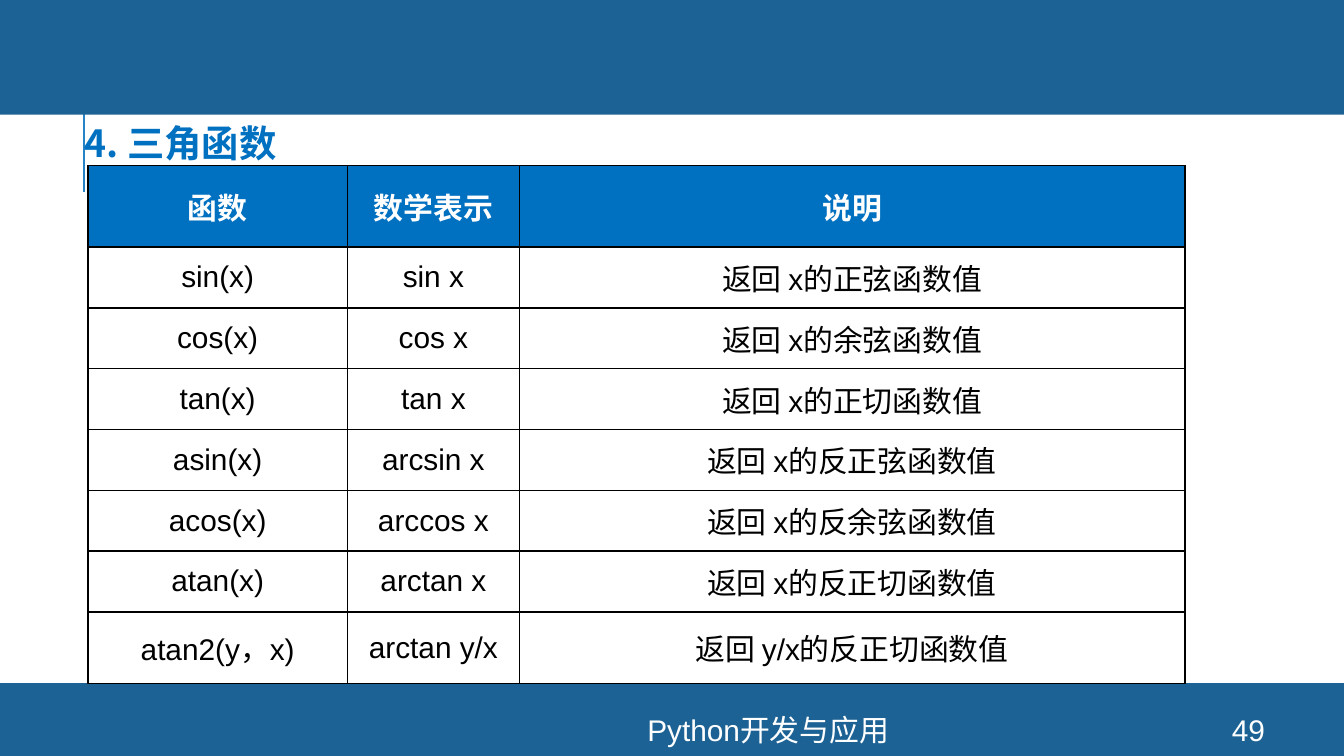
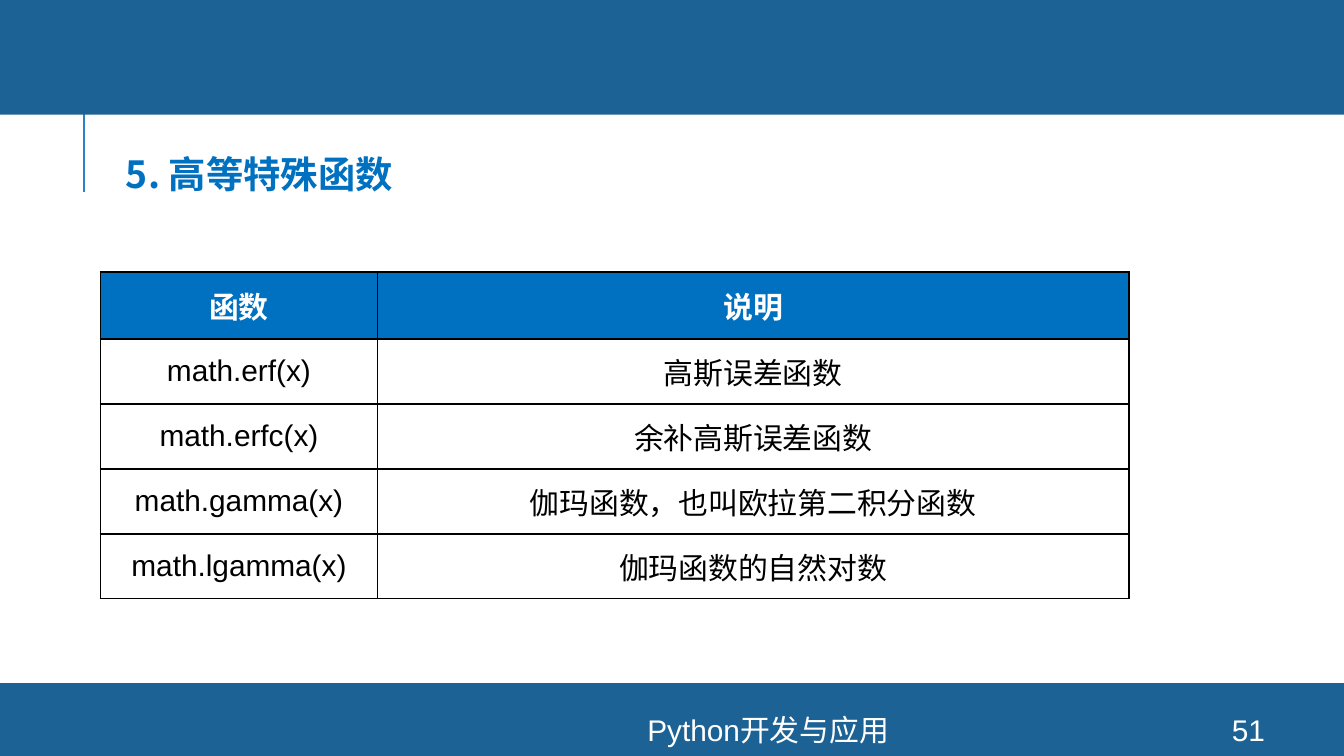
from dataclasses import dataclass

import lxml.etree
import pptx
import pptx.dml.color
import pptx.enum.shapes
import pptx.enum.text
import pptx.oxml.ns
import pptx.util

Pt = pptx.util.Pt
RGB = pptx.dml.color.RGBColor
ALIGN = pptx.enum.text.PP_ALIGN
ANCHOR = pptx.enum.text.MSO_ANCHOR
qn = pptx.oxml.ns.qn

WHITE = RGB(0xFF, 0xFF, 0xFF)
BLACK = RGB(0x00, 0x00, 0x00)
BAND = RGB(0x1D, 0x62, 0x94)
RULE = RGB(0x26, 0x83, 0xC6)
BLUE = RGB(0x00, 0x70, 0xC0)

SANS = "Arial"
HAN = "Noto Sans CJK SC"
WIDTH, HEIGHT = 720, 405
FOOTER = "Python开发与应用"


@dataclass(frozen=True)
class Box:
    left: float
    top: float
    width: float
    height: float

    def place(self) -> tuple:
        return tuple(Pt(n) for n in (self.left, self.top, self.width, self.height))


@dataclass(frozen=True)
class Grid:
    left: float
    top: float
    cols: list[float]
    rows: list[float]
    cells: list[tuple[str, ...]]


@dataclass(frozen=True)
class Page:
    title: str
    spot: Box
    number: str
    grid: Grid


BANDS = [Box(0, 366, WIDTH, 39), Box(0, -2, WIDTH, 63.4)]
FOOT_BOX = Box(188, 382.4, 447, 16.6)
NUM_BOX = Box(640, 382.4, 57.6, 16.6)

TRIG = [
    ("函数", "数学表示", "说明"),
    ("sin(x)", "sin x", "返回 x的正弦函数值"),
    ("cos(x)", "cos x", "返回 x的余弦函数值"),
    ("tan(x)", "tan x", "返回 x的正切函数值"),
    ("asin(x)", "arcsin x", "返回 x的反正弦函数值"),
    ("acos(x)", "arccos x", "返回 x的反余弦函数值"),
    ("atan(x)", "arctan x", "返回 x的反正切函数值"),
    ("atan2(y，x)", "arctan y/x", "返回 y/x的反正切函数值"),
]
SPECIAL = [
    ("函数", "说明"),
    ("math.erf(x)", "高斯误差函数"),
    ("math.erfc(x)", "余补高斯误差函数"),
    ("math.gamma(x)", "伽玛函数，也叫欧拉第二积分函数"),
    ("math.lgamma(x)", "伽玛函数的自然对数"),
]
PAGES = [
    Page("4. 三角函数", Box(38, 49, 235.4, 39.6), "49",
         Grid(47.1, 88.7, [139, 92.2, 356.4], [43.6] + [32.6] * 6 + [38.4], TRIG)),
    Page("5. 高等特殊函数", Box(60.3, 65.3, 235.4, 39.6), "51",
         Grid(53.8, 145.6, [148.5, 402.5], [36] + [34.8] * 4, SPECIAL)),
]


def style(para, size: float, color: RGB, bold: bool = False,
          name: str = SANS, align=ALIGN.CENTER) -> None:
    para.alignment = align
    font = para.font
    font.size, font.bold, font.name = Pt(size), bold, name
    font.color.rgb = color
    latin = para._p.pPr.find(qn("a:defRPr")).find(qn("a:latin"))
    asian = lxml.etree.Element(qn("a:ea"), typeface=HAN)
    latin.addnext(asian)


def add_rule(slide) -> None:
    line = slide.shapes.add_connector(
        pptx.enum.shapes.MSO_CONNECTOR.STRAIGHT, Pt(45), Pt(103), Pt(45), Pt(49))
    line.line.color.rgb = RULE
    line.line.width = Pt(1.5)
    lxml.etree.SubElement(line._element.spPr, qn("a:effectLst"))


def add_band(slide, box: Box) -> None:
    band = slide.shapes.add_shape(
        pptx.enum.shapes.MSO_SHAPE.RECTANGLE, *box.place())
    band.shadow.inherit = False
    band.fill.solid()
    band.fill.fore_color.rgb = BAND
    band.line.fill.background()


def add_label(slide, box: Box, text: str) -> None:
    frame = slide.shapes.add_textbox(*box.place()).text_frame
    frame.word_wrap = True
    frame.vertical_anchor = ANCHOR.MIDDLE
    frame.text = text
    style(frame.paragraphs[0], 16, WHITE)


def set_title(slide, text: str, box: Box) -> None:
    """Fill the title and bring it in front of the bands."""
    title = slide.shapes.title
    title.left, title.top, title.width, title.height = box.place()
    frame = title.text_frame
    frame.text = text
    frame.word_wrap = True
    frame.auto_size = pptx.enum.text.MSO_AUTO_SIZE.SHAPE_TO_FIT_TEXT
    frame.vertical_anchor = ANCHOR.TOP
    para = frame.paragraphs[0]
    para.line_spacing = 1.5
    style(para, 20, BLUE, True, HAN, ALIGN.LEFT)
    title.element.getparent().append(title.element)


def add_edges(cell) -> None:
    props = cell._tc.get_or_add_tcPr()
    for spot, side in enumerate("LRTB"):
        edge = lxml.etree.Element(qn(f"a:ln{side}"), w=str(Pt(1)))
        fill = lxml.etree.SubElement(edge, qn("a:solidFill"))
        lxml.etree.SubElement(fill, qn("a:srgbClr"), val=str(BLACK))
        props.insert(spot, edge)


def fill_cell(cell, text: str, head: bool) -> None:
    cell.text = text
    cell.vertical_anchor = ANCHOR.MIDDLE
    cell.margin_left = cell.margin_right = Pt(5)
    cell.margin_top = cell.margin_bottom = 0
    if head:
        cell.fill.solid()
        cell.fill.fore_color.rgb = BLUE
    else:
        cell.fill.background()
    add_edges(cell)
    style(cell.text_frame.paragraphs[0], 16, WHITE if head else BLACK, head)


def add_grid(slide, grid: Grid) -> None:
    box = Box(grid.left, grid.top, sum(grid.cols), sum(grid.rows))
    table = slide.shapes.add_table(
        len(grid.rows), len(grid.cols), *box.place()).table
    table.horz_banding = False
    for col, width in zip(table.columns, grid.cols):
        col.width = Pt(width)
    for r, (row, height) in enumerate(zip(table.rows, grid.rows)):
        row.height = Pt(height)
        for cell, text in zip(row.cells, grid.cells[r]):
            fill_cell(cell, text, r == 0)


def add_page(deck, page: Page) -> None:
    slide = deck.slides.add_slide(deck.slide_layouts.get_by_name("Title Only"))
    add_rule(slide)
    for box in BANDS:
        add_band(slide, box)
    add_label(slide, FOOT_BOX, FOOTER)
    add_label(slide, NUM_BOX, page.number)
    set_title(slide, page.title, page.spot)
    add_grid(slide, page.grid)


def main() -> None:
    deck = pptx.Presentation()
    deck.slide_width, deck.slide_height = Pt(WIDTH), Pt(HEIGHT)
    for page in PAGES:
        add_page(deck, page)
    deck.save("out.pptx")


if __name__ == "__main__":
    main()
